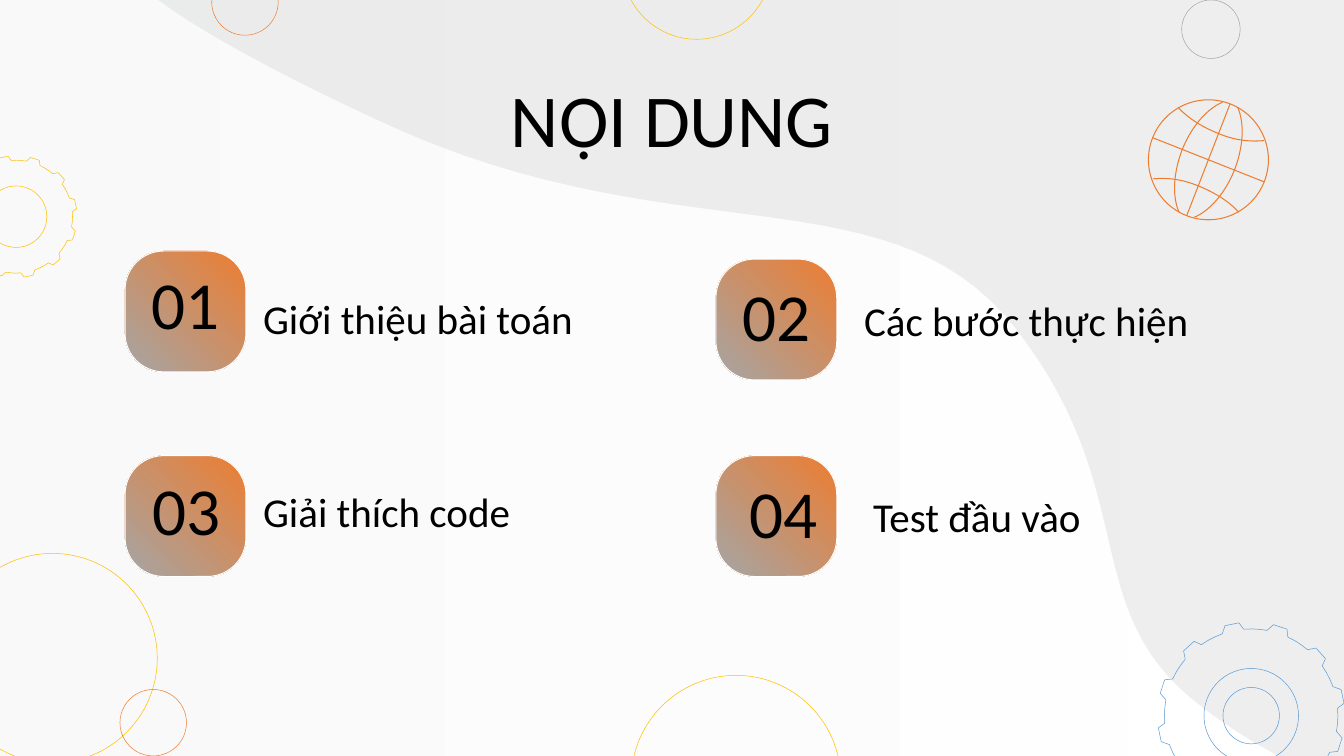
"""Build the contents slide with its four numbered topics."""
import math

import pptx
import pptx.dml.color
import pptx.enum.shapes
import pptx.enum.text
import pptx.oxml.ns
import pptx.util
from lxml import etree

Inches, Pt = pptx.util.Inches, pptx.util.Pt
SHAPES = pptx.enum.shapes.MSO_SHAPE
ALIGN = pptx.enum.text.PP_ALIGN
COLORS = {"white": "FFFFFF", "pale": "F3F3F3", "wave": "D6D7D7", "yellow": "FFC000",
          "gray": "A5A5A5", "orange": "ED7D31", "blue": "5B9BD5", "black": "000000"}
FRAME = {"word_wrap": True, "vertical_anchor": pptx.enum.text.MSO_ANCHOR.MIDDLE,
         **{f"margin_{side}": Inches(0.13) for side in ("left", "top", "right", "bottom")}}
CIRCLES = [(0.52, 6.53, 1.04, "yellow"), (12.01, 0.29, 0.29, "gray"),
           (2.43, 0.02, 0.33, "orange"), (6.91, -0.35, 0.74, "yellow"),
           (7.3, 7.74, 1.04, "yellow"), (1.52, 7.17, 0.33, "orange"),
           (12.41, 7.1, 0.28, "blue")]
WAVE = [(13.5, 7.84), (13.08, 7.71), (12.52, 7.47), (11.93, 7.02), (10.66, 6.07),
        (11.35, 4.92), (10.09, 3.28), (8.83, 1.64), (6.7, 2.59), (3.72, 1.18),
        (2.35, 0.54), (1.71, 0.13), (1.42, -0.12)]
TOOTH = [(5, 1), (7.5, 1.08), (16.2, 1.08), (19.5, 1), (24.5, 1), (29.5, 1)]
GLOBE = (11.985, 1.585, 0.595)
MERIDIAN = [(-0.29, 0.52), (-0.29, 0.52), (-0.41, 0.3), (-0.26, -0.1),
            (-0.1, -0.49), (0.14, -0.57), (0.14, -0.57)]
PARALLEL = [(0.3, 0.52), (0.23, 0.44), (0.1, 0.34), (-0.1, 0.26),
            (-0.29, 0.18), (-0.45, 0.18), (-0.55, 0.19)]
TILES = [(1.24, 2.49), (7.1, 2.57), (1.24, 4.52), (7.1, 4.52)]
NUMBERS = [("01", 1.24, 2.59, 1.2), ("02", 7.1, 2.71, 1.2),
           ("03", 1.25, 4.63, 1.2), ("04", 7.1, 4.66, 1.34)]
TOPICS = [("Giới thiệu bài toán", 2.48, 2.87, 4.36), ("Các bước thực hiện", 8.44, 2.89, 4.62),
          ("Giải thích code", 2.48, 4.79, 3.76), ("Test đầu vào", 8.53, 4.84, 3.76)]


def apply(target, values):
    """Set each attribute of the target from a dict."""
    for name, value in values.items():
        setattr(target, name, value)


def rgb(name):
    """Return the named colour."""
    return pptx.dml.color.RGBColor.from_string(COLORS[name])


def style(sp, fill=(), line=None, width=0.36, angle=0, alpha=None):
    """Give a shape no shadow, a plain or gradient fill, and a line."""
    sp.shadow.inherit = False
    if len(fill) == 2:
        sp.fill.gradient()
        sp.fill.gradient_angle = angle
        for position, (stop, name) in enumerate(zip(sp.fill.gradient_stops, fill)):
            stop.position, stop.color.rgb = position, rgb(name)
    elif fill:
        sp.fill.solid()
        sp.fill.fore_color.rgb = rgb(fill[0])
    else:
        sp.fill.background()
    if alpha:
        qn = pptx.oxml.ns.qn
        for color in list(sp._element.spPr.iter(qn("a:srgbClr"))):
            etree.SubElement(color, qn("a:alpha")).set("val", str(alpha * 1000))
    if line:
        sp.line.color.rgb, sp.line.width = rgb(line), Pt(width)
    else:
        sp.line.fill.background()


def add_preset(s, kind, box, **look):
    """Add a styled preset shape."""
    sp = s.shapes.add_shape(kind, *map(Inches, box))
    style(sp, **look)
    return sp


def add_circle(s, x, y, radius, color, width=0.36):
    """Add an outlined circle around a centre."""
    add_preset(s, SHAPES.OVAL, (x - radius, y - radius, 2 * radius, 2 * radius),
               line=color, width=width)


def add_outline(s, points, close=True, **look):
    """Add a styled freeform through the points."""
    points = [(Inches(x), Inches(y)) for x, y in points]
    builder = s.shapes.build_freeform(*points[0])
    builder.add_line_segments(points[1:], close=close)
    style(builder.convert_to_shape(), **look)


def curve(points, steps=30):
    """Return points along a chain of cubic Bezier curves."""
    result = [points[0]]
    for i in range(0, len(points) - 1, 3):
        for step in range(1, steps + 1):
            t = step / steps
            weights = [math.comb(3, k) * t ** k * (1 - t) ** (3 - k) for k in range(4)]
            result.append(tuple(sum(w * p[axis] for w, p in zip(weights, points[i:i + 4]))
                                for axis in (0, 1)))
    return result


def add_gear(s, x, y, radius, color):
    """Add a gear of twelve teeth with its hole."""
    points = []
    for tooth in range(12):
        for degrees, reach in TOOTH:
            a = math.radians(30 * tooth + degrees)
            points.append((x + radius * reach * math.cos(a), y - radius * reach * math.sin(a)))
    add_outline(s, points, line=color)
    add_circle(s, x, y, radius * 0.545, color)


def add_line(s, start, end, color, width):
    """Add a straight line without shadow."""
    c = s.shapes.add_connector(pptx.enum.shapes.MSO_CONNECTOR.STRAIGHT,
                               *map(Inches, (*start, *end)))
    c.line.color.rgb, c.line.width = rgb(color), Pt(width)
    etree.SubElement(c._element.spPr, pptx.oxml.ns.qn("a:effectLst"))


def add_globe(s):
    """Add the tilted wire globe."""
    x, y, radius = GLOBE
    add_circle(s, x, y, radius, "orange", 0.75)
    for dx, dy in ((0.215, -0.555), (0.555, 0.22)):
        add_line(s, (x - dx, y - dy), (x + dx, y + dy), "orange", 0.75)
    for arc in (MERIDIAN, PARALLEL):
        for sign in (1, -1):
            points = [(x + sign * dx, y + sign * dy) for dx, dy in arc]
            add_outline(s, curve(points), close=False, line="orange", width=0.75)


def add_text(s, text, box, size, align=ALIGN.LEFT):
    """Add one line of text in a box."""
    tf = s.shapes.add_textbox(*map(Inches, box)).text_frame
    apply(tf, FRAME)
    p = tf.paragraphs[0]
    apply(p, {"alignment": align, "line_spacing": 0.9})
    r = p.add_run()
    r.text = text
    apply(r.font, {"name": "Calibri", "size": Pt(size)})
    r.font.color.rgb = rgb("black")


def add_backdrop(s):
    """Add the pale ground, the wave, the circles and the gears."""
    add_preset(s, SHAPES.RECTANGLE, (-0.09, -0.1, 13.52, 7.69),
               fill=("white", "pale"), angle=180, alpha=41)
    corners = [(1.42, -0.34), (13.71, -0.34), (13.71, 7.84)]
    add_outline(s, curve(WAVE) + corners, fill=("wave",), alpha=41)
    for circle in CIRCLES:
        add_circle(s, *circle)
    add_gear(s, 0.16, 2.15, 0.56, "yellow")
    add_gear(s, 12.41, 7.1, 0.86, "blue")


def main():
    """Build and save the slide."""
    prs = pptx.Presentation()
    apply(prs, {"slide_width": Inches(13.33), "slide_height": Inches(7.5)})
    s = prs.slides.add_slide(prs.slide_layouts[6])
    add_backdrop(s)
    for x, y in TILES:
        sp = add_preset(s, SHAPES.ROUNDED_RECTANGLE, (x, y, 1.2, 1.2),
                        fill=("orange", "gray"), angle=225, line="white", width=0.75)
        sp.adjustments[0] = 0.32
    for text, x, y, width in NUMBERS:
        add_text(s, text, (x, y, width, 0.93), 48, ALIGN.CENTER)
    for text, x, y, width in TOPICS:
        add_text(s, text, (x, y, width, 0.63), 29.3)
    add_text(s, "NỘI DUNG", (1.04, 0.96, 11.25, 0.53), 53.3, ALIGN.CENTER)
    add_globe(s)
    prs.save("out.pptx")


main()
